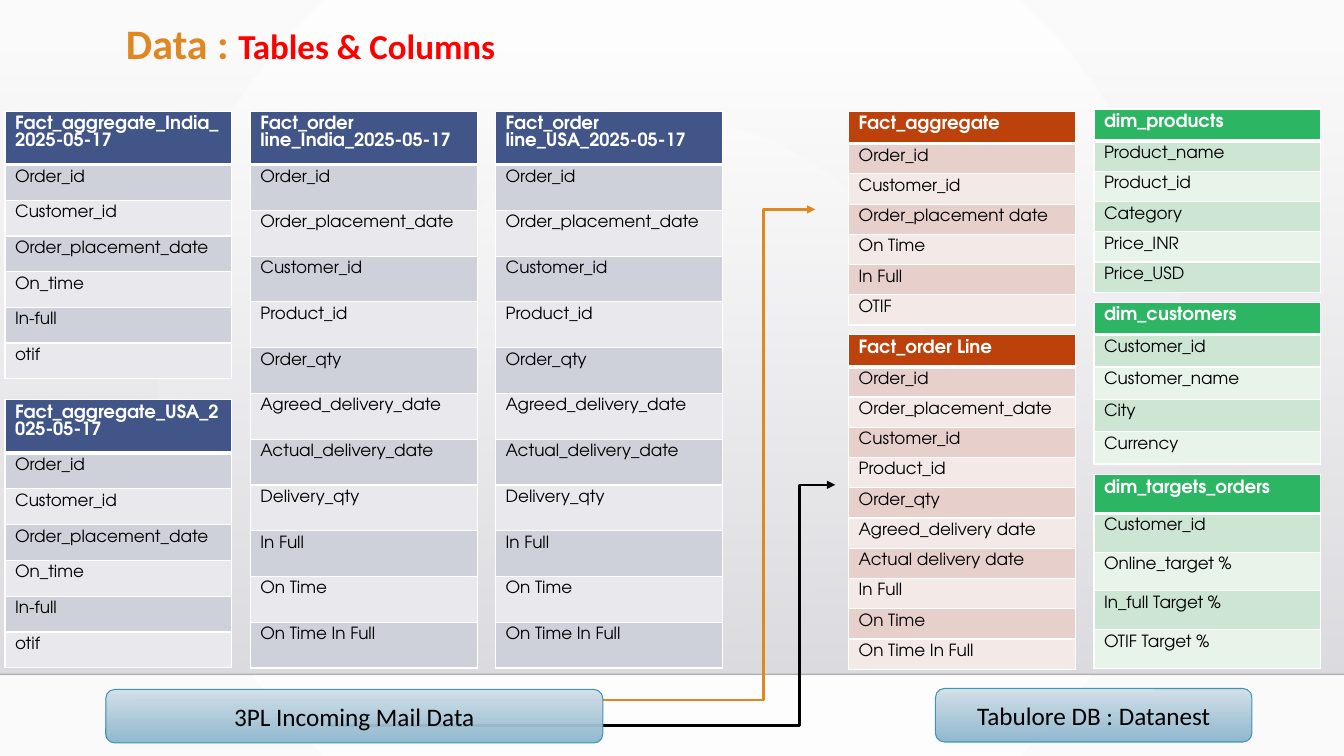
from lxml.etree import SubElement
from pptx import Presentation
from pptx.dml.color import RGBColor
from pptx.enum.shapes import MSO_CONNECTOR as Connector, MSO_SHAPE as Shape
from pptx.enum.text import MSO_ANCHOR as Anchor, PP_ALIGN as Align
from pptx.oxml import parse_xml
from pptx.oxml.ns import nsdecls, qn
from pptx.util import Pt

COLUMN_WIDTH, COLUMN_PITCH = 162, 175.2
SOURCE_LEFT, DATABASE_LEFT = 3.6, 606.2
BLUE = ("415588", "CFD1DA", "E9E9ED")
RED = ("BC410A", "E7CFCC", "F3E9E7")
GREEN = ("2CB663", "CDE5D3", "E8F3EA")


def rgb(value):
    return RGBColor.from_string(value)


def gradient(stops, direction):
    """Build a gradient fill from (position %, colour, opacity %) stops."""
    stop_xml = "".join(
        f'<a:gs pos="{position * 1000}"><a:srgbClr val="{color}">'
        f'<a:alpha val="{opacity * 1000}"/></a:srgbClr></a:gs>'
        for position, color, opacity in stops)
    return parse_xml(f'<a:gradFill {nsdecls("a")} rotWithShape="1"><a:gsLst>{stop_xml}'
                     f'</a:gsLst>{direction}</a:gradFill>')


DOWNWARD = '<a:lin ang="5400000" scaled="0"/>'
FROM_CENTRE = ('<a:path path="circle"><a:fillToRect l="50000" t="50000" '
               'r="50000" b="50000"/></a:path>')

prs = Presentation()
prs.slide_width, prs.slide_height = Pt(960), Pt(540)
slide = prs.slides.add_slide(prs.slide_layouts[5])
shapes = slide.shapes

# Background, shaded backdrop and floor line
backdrop_fill = slide.background.fill
backdrop_fill.gradient()
page_gradient = slide.element.find(".//" + qn("p:bgPr")).find(qn("a:gradFill"))
page_gradient.getparent().replace(
    page_gradient, gradient([(0, "FFFFFF", 100), (100, "FAFAFA", 100)], FROM_CENTRE))

backdrop = shapes.add_shape(Shape.RECTANGLE, 0, Pt(36.7), Pt(960), Pt(445))
backdrop.shadow.inherit = False
backdrop.line.fill.background()
backdrop.element.spPr.find(qn("a:prstGeom")).addnext(
    gradient([(0, "DCDCE0", 0), (100, "DEDEE2", 100)], DOWNWARD))

floor = shapes.add_connector(Connector.STRAIGHT, 0, Pt(481.7), Pt(960), Pt(481.7))
floor.line.color.rgb = rgb("000001")
floor.line.width = Pt(1)
SubElement(floor.element.spPr.find(".//" + qn("a:srgbClr")), qn("a:alpha"), val="20000")
SubElement(floor.element.spPr, qn("a:effectLst"))

# Title
title = shapes.title
title.left, title.top, title.width, title.height = Pt(82.8), Pt(8.6), Pt(623.5), Pt(44)
heading = title.text_frame.paragraphs[0]
heading.alignment = Align.LEFT
for words, size, color in [("Data : ", 30, "DF8822"), ("Tables & Columns", 25, "FF0000")]:
    run = heading.add_run()
    run.text = words
    run.font.name, run.font.size, run.font.bold = "Calibri", Pt(size), True
    run.font.color.rgb = rgb(color)
title.element.getparent().append(title.element)

# Data tables: left, top, height, header height, colours, name, columns
aggregate_columns = ["Order_id", "Customer_id", "Order_placement_date",
                     "On_time", "In-full", "otif"]
line_columns = ["Order_id", "Order_placement_date", "Customer_id", "Product_id", "Order_qty",
                "Agreed_delivery_date", "Actual_delivery_date", "Delivery_qty",
                "In Full", "On Time", "On Time In Full"]
second, third = SOURCE_LEFT + COLUMN_PITCH, SOURCE_LEFT + 2 * COLUMN_PITCH
dim_left = DATABASE_LEFT + COLUMN_PITCH
data_tables = [
    (SOURCE_LEFT, 79.6, 191, 38, BLUE, "Fact_aggregate_India_2025-05-17", aggregate_columns),
    (SOURCE_LEFT, 285.6, 191.5, 38, BLUE, "Fact_aggregate_USA_2025-05-17", aggregate_columns),
    (second, 79.6, 397.8, 38, BLUE, "Fact_order line_India_2025-05-17", line_columns),
    (third, 79.6, 397.8, 38, BLUE, "Fact_order line_USA_2025-05-17", line_columns),
    (DATABASE_LEFT, 79.6, 152.6, 23, RED, "Fact_aggregate",
     ["Order_id", "Customer_id", "Order_placement date", "On Time", "In Full", "OTIF"]),
    (DATABASE_LEFT, 239, 239, 23, RED, "Fact_order Line",
     ["Order_id", "Order_placement_date", "Customer_id", "Product_id", "Order_qty",
      "Agreed_delivery date", "Actual delivery date", "In Full", "On Time",
      "On Time In Full"]),
    (dim_left, 77.8, 131, 23, GREEN, "dim_products",
     ["Product_name", "Product_id", "Category", "Price_INR", "Price_USD"]),
    (dim_left, 216, 115.5, 23, GREEN, "dim_customers",
     ["Customer_id", "Customer_name", "City", "Currency"]),
    (dim_left, 339, 138.4, 27.7, GREEN, "dim_targets_orders",
     ["Customer_id", "Online_target %", "In_full Target %", "OTIF Target %"]),
]
for left, top, height, header_height, colors, name, columns in data_tables:
    header_color, *bands = colors
    table = shapes.add_table(len(columns) + 1, 1, Pt(left), Pt(top),
                             Pt(COLUMN_WIDTH), Pt(height)).table
    for index, label in enumerate([name, *columns]):
        is_header = index == 0
        table.rows[index].height = Pt(
            header_height if is_header else (height - header_height) / len(columns))
        cell = table.cell(index, 0)
        cell.text_frame.text = label
        font = cell.text_frame.paragraphs[0].runs[0].font
        font.name, font.size, font.bold = "TeX Gyre Adventor", Pt(13 if is_header else 12), is_header
        font.color.rgb = rgb("FFFFFF" if is_header else "000000")
        cell.fill.solid()
        cell.fill.fore_color.rgb = rgb(header_color if is_header else bands[(index - 1) % 2])
        cell_format = cell._tc.get_or_add_tcPr()
        for place, side in enumerate(["lnL", "lnR", "lnT", "lnB"]):
            heavy = (is_header and side == "lnB") or (index == 1 and side == "lnT")
            cell_format.insert(place, parse_xml(
                f'<a:{side} {nsdecls("a")} w="{Pt(3 if heavy else 1)}"><a:solidFill>'
                f'<a:srgbClr val="FFFFFF"/></a:solidFill></a:{side}>'))

# Flows from the mail data to the database tables
for start_x, start_y, end_x, end_y, bend, color in [
        (98.6, 499.9, 582.5, 149.6, 92300, "DF8822"),
        (233.3, 518.4, 596.7, 346.3, 93000, "000000")]:
    flow = shapes.add_connector(Connector.ELBOW, Pt(start_x), Pt(start_y), Pt(end_x), Pt(end_y))
    flow.line.color.rgb = rgb(color)
    flow.line.width = Pt(1.75)
    SubElement(flow.line._get_or_add_ln(), qn("a:tailEnd"), type="triangle")
    SubElement(flow.element.spPr.find(".//" + qn("a:avLst")), qn("a:gd"),
               name="adj1", fmla=f"val {bend}")
    SubElement(flow.element.spPr, qn("a:effectLst"))

# Captions
for left, top, width, label in [(75.6, 492.5, 355, "3PL Incoming Mail Data"),
                                (668.2, 491.8, 226, "Tabulore DB : Datanest")]:
    caption = shapes.add_shape(Shape.ROUNDED_RECTANGLE, Pt(left), Pt(top), Pt(width), Pt(38.2))
    caption.shadow.inherit = False
    caption.line.color.rgb = rgb("4294B6")
    caption.line.width = Pt(0.75)
    caption.element.spPr.find(qn("a:prstGeom")).addnext(
        gradient([(0, "D4E1EA", 100), (100, "8AB4CC", 92)], DOWNWARD))
    caption.text_frame.text = label
    caption.text_frame.vertical_anchor = Anchor.MIDDLE
    paragraph = caption.text_frame.paragraphs[0]
    paragraph.alignment = Align.CENTER
    font = paragraph.runs[0].font
    font.name, font.size = "Calibri", Pt(18)
    font.color.rgb = rgb("000000")

prs.save("out.pptx")
